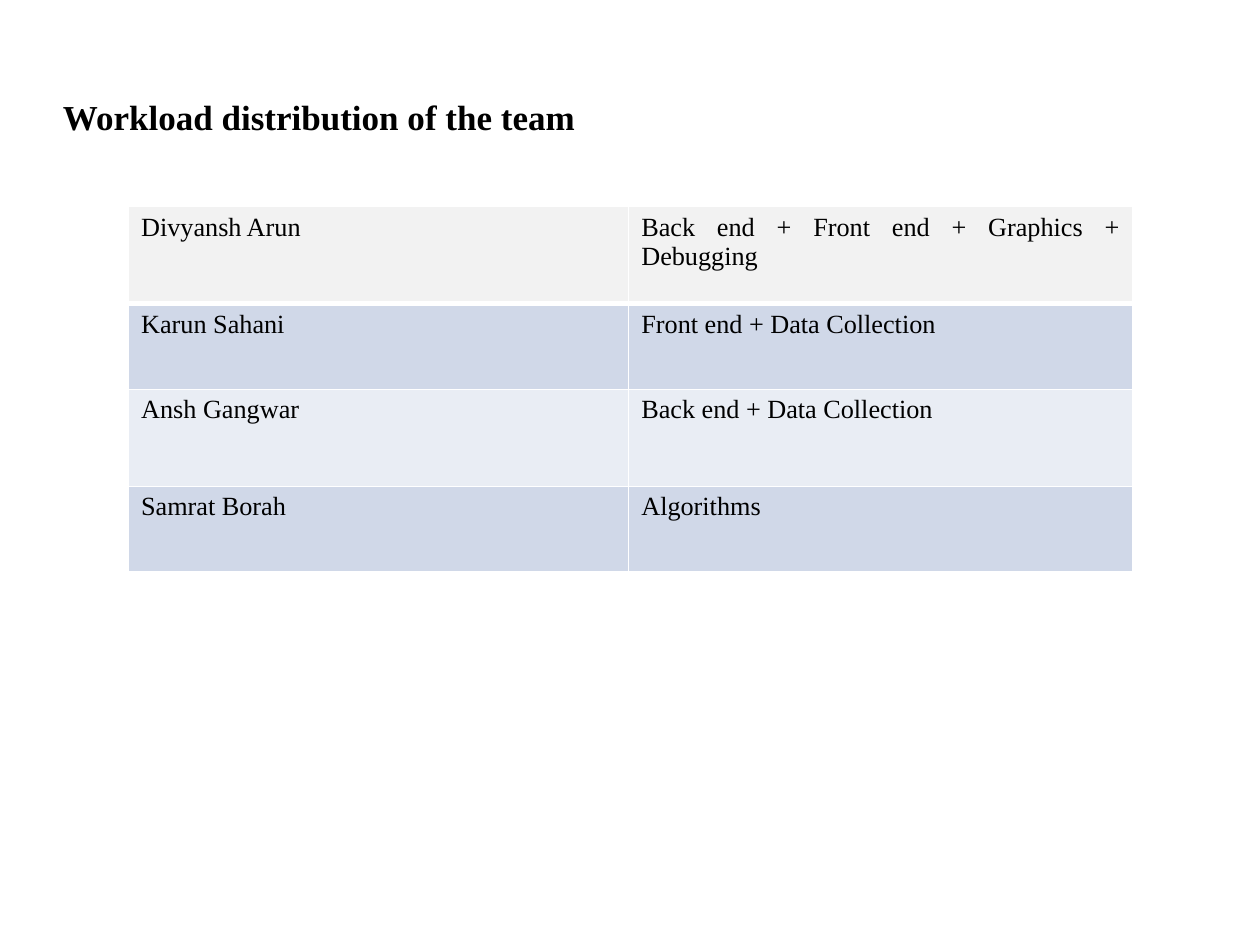
from lxml.etree import SubElement
from pptx import Presentation
from pptx.dml.color import RGBColor
from pptx.enum.text import MSO_ANCHOR, PP_ALIGN
from pptx.oxml.ns import qn
from pptx.util import Inches, Pt

FONT = "Times New Roman"
WORKLOAD = [
    ("Divyansh Arun", "Back end + Front end + Graphics + Debugging"),
    ("Karun Sahani", "Front end + Data Collection"),
    ("Ansh Gangwar", "Back end + Data Collection"),
    ("Samrat Borah", "Algorithms"),
]
ROW_FILLS = ["F2F2F2", "D0D8E8", "E9EDF4", "D0D8E8"]
ROW_HEIGHTS = [0.77, 0.68, 0.77, 0.68]


def color(value):
    """Turn a hex string into a colour."""
    return RGBColor.from_string(value)


def add_run(p, text, size, bold=False):
    """Add a black run to a paragraph."""
    r = p.add_run()
    r.text = text
    r.font.name = FONT
    r.font.size = Pt(size)
    r.font.bold = bold
    r.font.color.rgb = color("000000")


def set_border(cell, side, width, value="FFFFFF"):
    """Draw one side of a cell."""
    ln = SubElement(cell._tc.get_or_add_tcPr(), qn(f"a:ln{side}"), w=str(Pt(width)))
    fill = SubElement(ln, qn("a:solidFill"))
    SubElement(fill, qn("a:srgbClr"), val=value)


def add_title(s, left, top, width, height):
    """Place the slide title in its box."""
    tf = s.shapes.add_textbox(left, top, width, height).text_frame
    tf.word_wrap = True
    tf.vertical_anchor = MSO_ANCHOR.MIDDLE
    tf.margin_left = tf.margin_right = tf.margin_top = tf.margin_bottom = 0
    add_run(tf.paragraphs[0], "Workload distribution of the team", 20, True)


def add_workload(s, left, top, width, height):
    """Place the table of members and their tasks in its box."""
    table = s.shapes.add_table(len(WORKLOAD), 2, left, top, width, height).table
    table.columns[0].width = Inches(3.97)
    table.columns[1].width = width - Inches(3.97)
    for i, texts in enumerate(WORKLOAD):
        table.rows[i].height = Inches(ROW_HEIGHTS[i])
        for j, text in enumerate(texts):
            cell = table.cell(i, j)
            for side in "LRTB":
                heavy = (i, side) in [(0, "B"), (1, "T")]
                set_border(cell, side, 3 if heavy else 1)
            cell.fill.solid()
            cell.fill.fore_color.rgb = color(ROW_FILLS[i])
            p = cell.text_frame.paragraphs[0]
            p.alignment = PP_ALIGN.JUSTIFY
            add_run(p, text, 15)


def main():
    """Build and save the slide."""
    prs = Presentation()
    prs.slide_width, prs.slide_height = Inches(10), Inches(7.5)
    s = prs.slides.add_slide(prs.slide_layouts[6])
    add_title(s, Inches(0.5), Inches(0.3), Inches(9), Inches(1.25))
    add_workload(s, Inches(1.02), Inches(1.64), Inches(7.97), Inches(sum(ROW_HEIGHTS)))
    prs.save("out.pptx")


if __name__ == "__main__":
    main()
